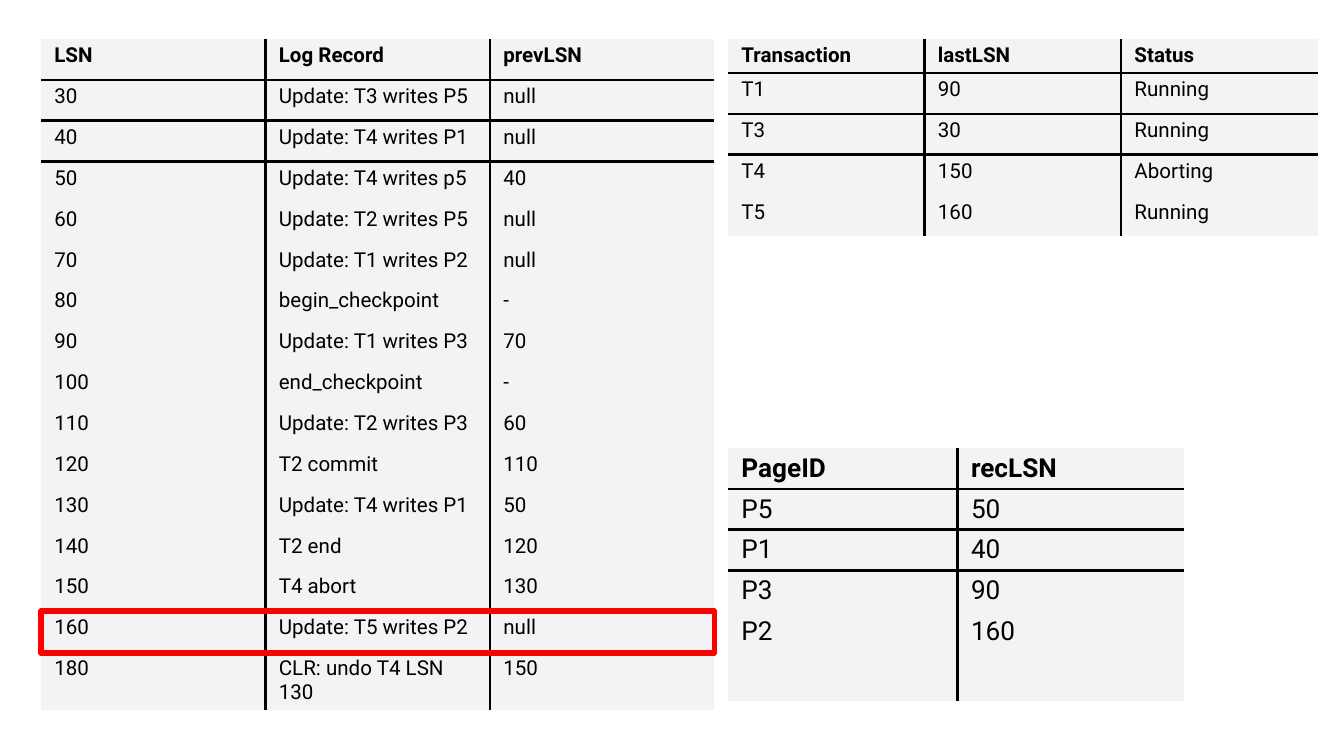
import pptx
import pptx.dml.color
import pptx.enum.shapes
import pptx.oxml
import pptx.util
from pptx.util import Pt

NO_STYLE_NO_GRID = "{2D5ABB26-0587-4C30-8999-92F81FD0307C}"
DRAWING_NS = "http://schemas.openxmlformats.org/drawingml/2006/main"


def color(hex_value):
    return pptx.dml.color.RGBColor.from_string(hex_value)


def add_borders(cell, sides):
    """Draw black borders on the sides given, in the order L, R, T, B."""
    properties = cell._tc.get_or_add_tcPr()
    for position, side in enumerate(sides):
        properties.insert(position, pptx.oxml.parse_xml(
            f'<a:ln{side} xmlns:a="{DRAWING_NS}" w="{Pt(1.5)}"><a:solidFill>'
            f'<a:srgbClr val="000000"/></a:solidFill></a:ln{side}>'))


presentation = pptx.Presentation()
presentation.slide_width = Pt(720)
presentation.slide_height = Pt(405)
slide = presentation.slides.add_slide(presentation.slide_layouts[6])

left, top, row_height = 21.9, 20.9, 21.9
log_column = 120.3

# Table contents
log_records = [
    ("LSN", "Log Record", "prevLSN"),
    ("30", "Update: T3 writes P5", "null"),
    ("40", "Update: T4 writes P1", "null"),
    ("50", "Update: T4 writes p5", "40"),
    ("60", "Update: T2 writes P5", "null"),
    ("70", "Update: T1 writes P2", "null"),
    ("80", "begin_checkpoint", "-"),
    ("90", "Update: T1 writes P3", "70"),
    ("100", "end_checkpoint", "-"),
    ("110", "Update: T2 writes P3", "60"),
    ("120", "T2 commit", "110"),
    ("130", "Update: T4 writes P1", "50"),
    ("140", "T2 end", "120"),
    ("150", "T4 abort", "130"),
    ("160", "Update: T5 writes P2", "null"),
    ("180", "CLR: undo T4 LSN 130", "150"),
]
transactions = [
    ("Transaction", "lastLSN", "Status"),
    ("T1", "90", "Running"),
    ("T3", "30", "Running"),
    ("T4", "150", "Aborting"),
    ("T5", "160", "Running"),
]
dirty_pages = [
    ("PageID", "recLSN"),
    ("P5", "50"),
    ("P1", "40"),
    ("P3", "90"),
    ("P2", "160"),
    ("", ""),
]

# Each table: contents, left, top, column widths, first and last row height, text size
tables = [
    (log_records, left, top, [log_column] * 3, row_height, 31, 11),
    (transactions, 390, top, [105.3] * 3, 18.2, row_height, 11),
    (dirty_pages, 390, 240, [123, 121.5], row_height, 26, 14),
]
for rows, x, y, widths, first_height, last_height, size in tables:
    heights = [first_height] + [row_height] * (len(rows) - 2) + [last_height]
    table = slide.shapes.add_table(len(rows), len(widths), Pt(x), Pt(y),
                                   Pt(sum(widths)), Pt(sum(heights))).table
    table._tbl.tblPr.find(f"{{{DRAWING_NS}}}tableStyleId").text = NO_STYLE_NO_GRID
    table.horz_banding = False
    for column, width in zip(table.columns, widths):
        column.width = Pt(width)
    for row, height in zip(table.rows, heights):
        row.height = Pt(height)

    for r, values in enumerate(rows):
        for c, value in enumerate(values):
            cell = table.cell(r, c)
            cell.text = value
            cell.margin_left = cell.margin_right = Pt(7.2)
            cell.margin_top = cell.margin_bottom = Pt(2.6)
            cell.fill.solid()
            cell.fill.fore_color.rgb = color("F3F3F3")
            font = cell.text_frame.paragraphs[0].font
            font.name = "Roboto"
            font.size = Pt(size)
            font.bold = r == 0
            font.color.rgb = color("000000")
            # Rules between columns, and below the first two rows
            drawn = {"L": c > 0, "R": c < len(widths) - 1,
                     "T": r in (1, 2), "B": r in (0, 1)}
            add_borders(cell, [side for side in drawn if drawn[side]])

# Highlight around the record with LSN 160
highlighted_row = [record[0] for record in log_records].index("160")
highlight = slide.shapes.add_shape(
    pptx.enum.shapes.MSO_SHAPE.RECTANGLE, Pt(left),
    Pt(top + highlighted_row * row_height), Pt(3 * log_column), Pt(22.3))
highlight.shadow.inherit = False
highlight.fill.background()
highlight.line.color.rgb = color("FF0000")
highlight.line.width = Pt(3)

presentation.save("out.pptx")
